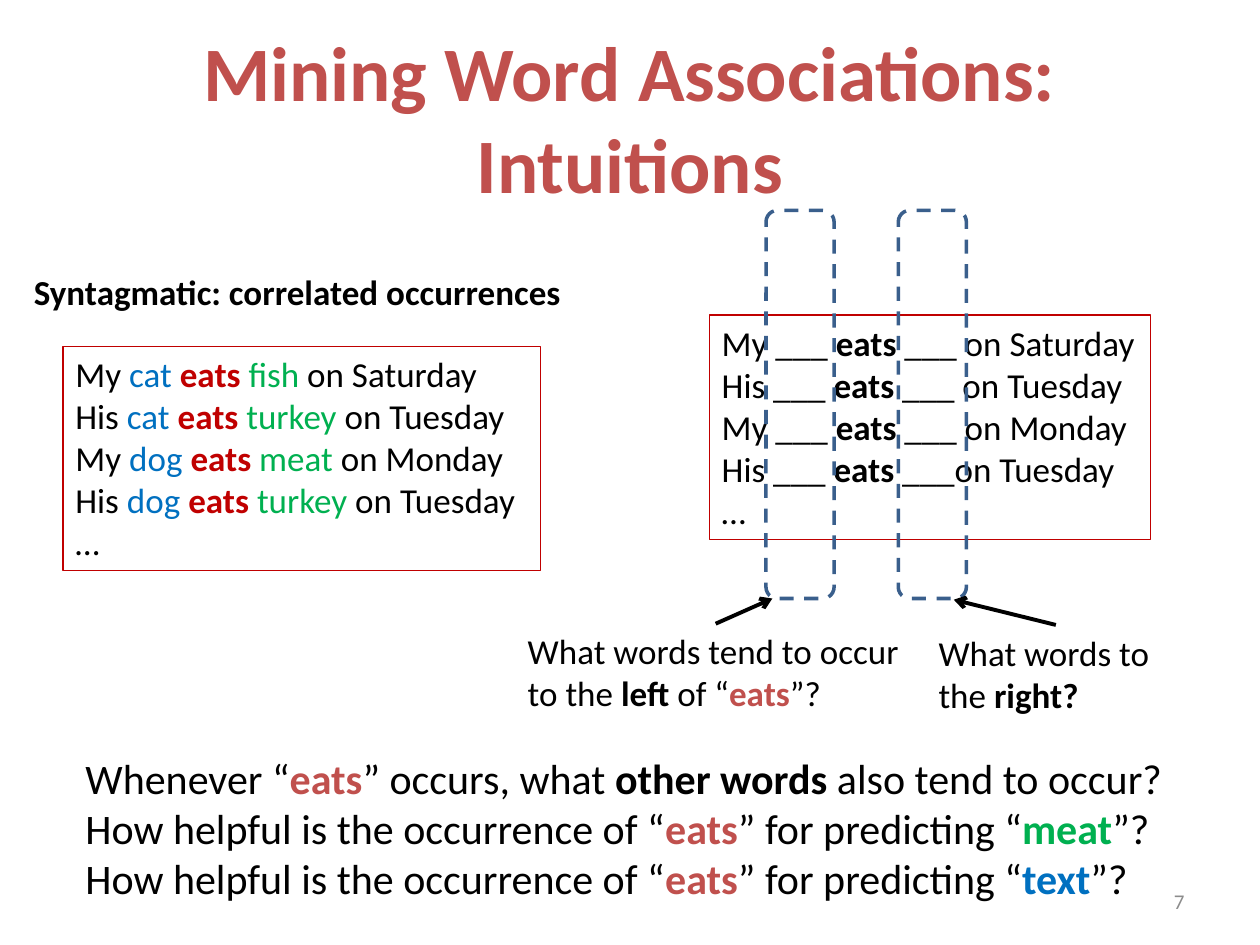
from pptx import Presentation
from pptx.dml.color import RGBColor
from pptx.enum.dml import MSO_LINE_DASH_STYLE as Dash
from pptx.enum.shapes import MSO_CONNECTOR_TYPE as Connector, MSO_SHAPE as Shape
from pptx.enum.text import MSO_ANCHOR as Anchor, MSO_AUTO_SIZE as AutoSize, PP_ALIGN as Align
from pptx.util import Inches, Pt
from lxml.etree import SubElement
from pptx.oxml.ns import qn

BLACK = RGBColor(0, 0, 0)
ROSE = RGBColor(0xC0, 0x50, 0x4D)
RED = RGBColor(0xC0, 0, 0)
GREEN = RGBColor(0, 0xB0, 0x50)
BLUE = RGBColor(0, 0x70, 0xC0)
NAVY = RGBColor(0x3A, 0x5F, 0x8C)
GRAY = RGBColor(0x8C, 0x8C, 0x8C)
FONT = "Calibri"

STYLES = {
    "plain": (BLACK, False), "bold": (BLACK, True), "title": (ROSE, True),
    "key": (ROSE, True), "verb": (RED, True), "subject": (BLUE, False),
    "object": (GREEN, False), "meat": (GREEN, True), "text": (BLUE, True),
    "number": (GRAY, False),
}

TITLE = [[("Mining Word Associations: Intuitions", "title")]]
HEADING = [[("Syntagmatic: correlated occurrences", "bold")]]
NUMBER = [[("7", "number")]]
SENTENCES = [
    ("My ", "cat ", "fish", " on Saturday", " ___ on Saturday"),
    ("His ", "cat ", "turkey", " on Tuesday", " ___ on Tuesday"),
    ("My ", "dog ", "meat", " on Monday", " ___ on Monday"),
    ("His ", "dog ", "turkey", " on Tuesday", " ___on Tuesday"),
]
ELLIPSIS = [[("…", "plain")]]
FULL = [[(owner, "plain"), (animal, "subject"), ("eats ", "verb"), (food, "object"), (day, "plain")]
        for owner, animal, food, day, _ in SENTENCES] + ELLIPSIS
BLANKED = [[(owner + "___ ", "plain"), ("eats", "bold"), (ending, "plain")]
           for owner, _, _, _, ending in SENTENCES] + ELLIPSIS
QUESTIONS = [[("Whenever “", "plain"), ("eats", "key"), ("” occurs, what ", "plain"),
              ("other words", "bold"), (" also tend to occur?", "plain")]]
QUESTIONS += [[("How helpful is the occurrence of “", "plain"), ("eats", "key"),
               ("” for predicting “", "plain"), (word, word), ("”?", "plain")]
              for word in ("meat", "text")]
LEFT_NOTE = [[("What words tend to occur", "plain")],
             [("to the ", "plain"), ("left ", "bold"), ("of “", "plain"), ("eats", "key"), ("”?", "plain")]]
RIGHT_NOTE = [[("What words to", "plain")], [("the ", "plain"), ("right?", "bold")]]

TEXTS = [
    (FULL, (0.5, 2.75, 3.79, 1.78), 20, RED),
    (HEADING, (0.17, 2.1, 4.42, 0.44), 20, None),
    (QUESTIONS, (0.58, 5.92, 8.83, 1.31), 24, None),
    (BLANKED, (5.63, 2.5, 3.5, 1.78), 20, RED),
]
CALLOUTS = [
    (6.08, LEFT_NOTE, (4.09, 4.95, 3.17, 0.77), (5.68, 4.95, 6.13, 4.75)),
    (7.13, RIGHT_NOTE, (7.35, 4.96, 1.89, 0.77), (8.38, 4.96, 7.57, 4.76)),
]


def inches(values):
    return [Inches(value) for value in values]


def write(frame, lines, size, align=Align.LEFT):
    for index, line in enumerate(lines):
        para = frame.paragraphs[0] if index == 0 else frame.add_paragraph()
        para.alignment = align
        for words, style in line:
            span = para.add_run()
            span.text = words
            span.font.name, span.font.size = FONT, Pt(size)
            span.font.color.rgb, span.font.bold = STYLES[style]


def add_text(page, lines, place, size, border=None):
    box = page.shapes.add_textbox(*inches(place))
    box.text_frame.word_wrap = False
    box.text_frame.auto_size = AutoSize.SHAPE_TO_FIT_TEXT
    if border is not None:
        box.line.color.rgb, box.line.width = border, Pt(0.75)
    write(box.text_frame, lines, size)


def add_column(page, left):
    column = page.shapes.add_shape(Shape.ROUNDED_RECTANGLE, *inches((left, 1.67, 0.54, 3.08)))
    column.shadow.inherit = False
    column.fill.background()
    column.line.color.rgb, column.line.width = NAVY, Pt(2)
    column.line.dash_style = Dash.DASH


def add_arrow(page, ends):
    arrow = page.shapes.add_connector(Connector.STRAIGHT, *inches(ends))
    arrow.line.color.rgb, arrow.line.width = BLACK, Pt(2.25)
    SubElement(arrow.line._get_or_add_ln(), qn("a:tailEnd"), type="arrow")
    SubElement(arrow._element.spPr, qn("a:effectLst"))


def main():
    deck = Presentation()
    deck.slide_width, deck.slide_height = Inches(10), Inches(7.5)
    page = deck.slides.add_slide(deck.slide_layouts[5])
    title = page.shapes.title
    title.left, title.top, title.width, title.height = inches((0.5, 0.3, 9, 1.25))
    title.text_frame.vertical_anchor = Anchor.MIDDLE
    write(title.text_frame, TITLE, 44, Align.CENTER)

    number = page.shapes.add_textbox(*inches((7.17, 6.95, 2.33, 0.4))).text_frame
    number.word_wrap = True
    number.vertical_anchor = Anchor.MIDDLE
    write(number, NUMBER, 12, Align.RIGHT)

    for lines, place, size, border in TEXTS:
        add_text(page, lines, place, size, border)
    for left, note, place, ends in CALLOUTS:
        add_column(page, left)
        add_text(page, note, place, 20)
        add_arrow(page, ends)
    deck.save("out.pptx")


if __name__ == "__main__":
    main()
